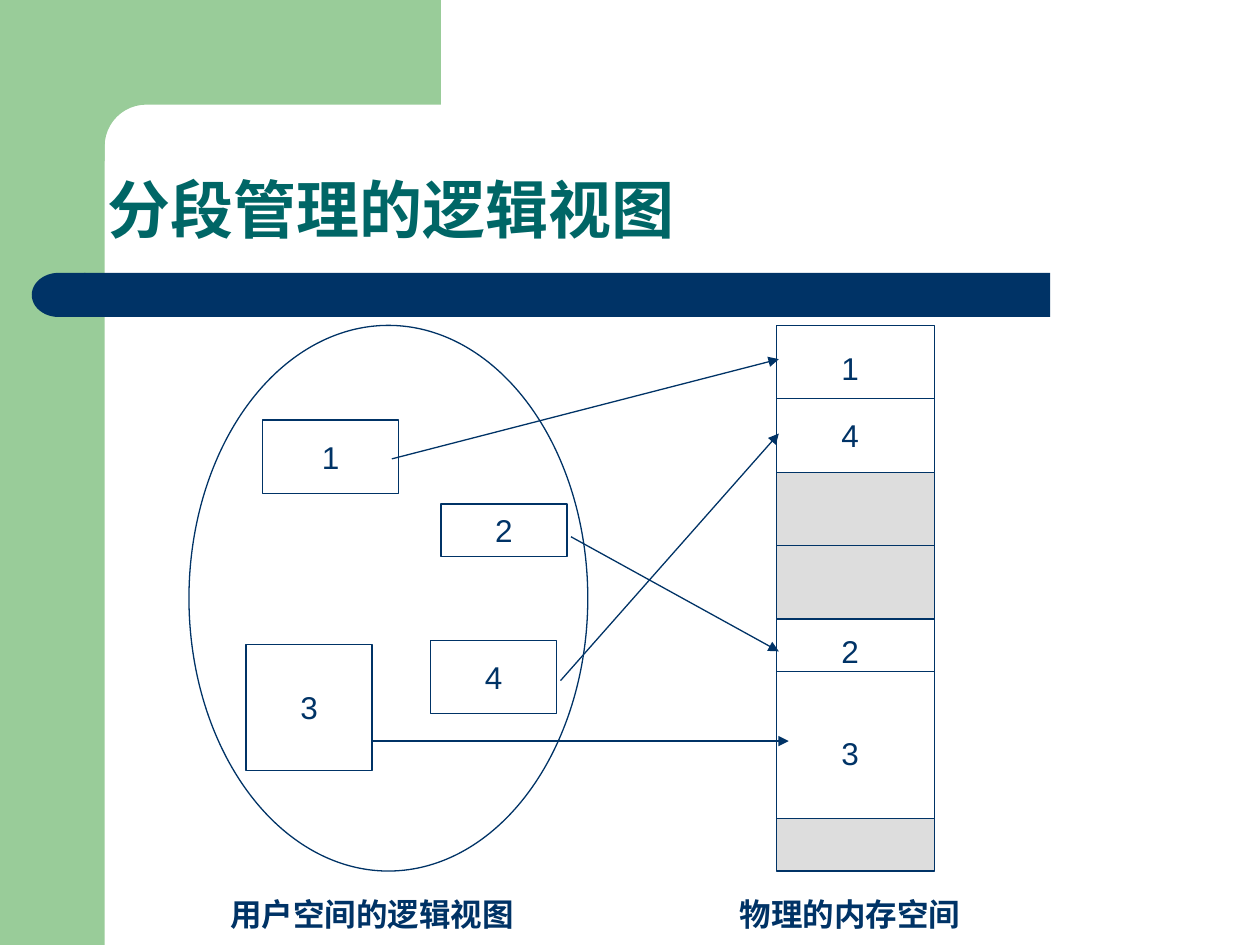
from dataclasses import dataclass
from math import cos, pi, sin

from lxml.etree import SubElement
from pptx import Presentation
from pptx.dml.color import RGBColor
from pptx.enum.shapes import MSO_CONNECTOR, MSO_SHAPE as SHAPE
from pptx.enum.text import MSO_ANCHOR as ANCHOR, MSO_AUTO_SIZE as AUTOSIZE, PP_ALIGN as ALIGN
from pptx.oxml.ns import qn
from pptx.util import Cm, Pt


@dataclass(frozen=True)
class Theme:
    font: str = "Arial"
    navy: RGBColor = RGBColor(0x00, 0x33, 0x66)
    teal: RGBColor = RGBColor(0x00, 0x66, 0x66)
    green: RGBColor = RGBColor(0x99, 0xCC, 0x99)
    gray: RGBColor = RGBColor(0xDD, 0xDD, 0xDD)
    white: RGBColor = RGBColor(0xFF, 0xFF, 0xFF)
    title_size: Pt = Pt(36)
    text_size: Pt = Pt(18)
    line_width: Pt = Pt(0.75)


THEME = Theme()
SIDEBAR_W = 2.11
MEMORY_X, MEMORY_Y, MEMORY_W = 15.66, 6.56, 3.18


def style_text(p, text, size, color, bold=False, align=ALIGN.CENTER):
    p.text = text
    p.alignment = align
    p.font.name = THEME.font
    p.font.size = size
    p.font.bold = bold
    p.font.color.rgb = color


def paint(sp, fill, outlined):
    sp.shadow.inherit = False
    sp.fill.solid()
    sp.fill.fore_color.rgb = fill
    if outlined:
        sp.line.color.rgb = THEME.navy
        sp.line.width = THEME.line_width
    else:
        sp.line.fill.background()


def add_block(s, kind, box, fill, outlined=True):
    sp = s.shapes.add_shape(kind, *map(Cm, box))
    paint(sp, fill, outlined)
    return sp


def add_segment(s, text, box):
    sp = add_block(s, SHAPE.RECTANGLE, box, THEME.white)
    tf = sp.text_frame
    tf.word_wrap = False
    tf.vertical_anchor = ANCHOR.MIDDLE
    style_text(tf.paragraphs[0], text, THEME.text_size, THEME.navy)


def add_label(s, text, box, bold=False):
    tf = s.shapes.add_textbox(*map(Cm, box)).text_frame
    tf.word_wrap = False
    tf.auto_size = AUTOSIZE.SHAPE_TO_FIT_TEXT
    tf.vertical_anchor = ANCHOR.MIDDLE
    style_text(tf.paragraphs[0], text, THEME.text_size, THEME.navy, bold)


def add_line(s, start, end, arrow=False):
    c = s.shapes.add_connector(MSO_CONNECTOR.STRAIGHT, *map(Cm, start + end))
    c.line.color.rgb = THEME.navy
    c.line.width = THEME.line_width
    if arrow:
        SubElement(c.line._get_or_add_ln(), qn("a:tailEnd"), type="triangle")
    SubElement(c._element.spPr, qn("a:effectLst"))


def add_corner(s):
    left, right, bottom, radius = 1.27, 8.89, 3.25, 0.84
    center = SIDEBAR_W + radius
    steps = 12
    angles = [pi / 2 * i / steps for i in range(steps + 1)]
    arc = [(center - radius * sin(a), center - radius * cos(a)) for a in angles]
    points = [(right, 0), (right, SIDEBAR_W), *arc, (SIDEBAR_W, bottom), (left, bottom)]
    builder = s.shapes.build_freeform(Cm(left), 0)
    builder.add_line_segments([(Cm(x), Cm(y)) for x, y in points])
    paint(builder.convert_to_shape(), THEME.green, outlined=False)


def add_frame(s):
    add_block(s, SHAPE.RECTANGLE, (0, 0, SIDEBAR_W, 19.05), THEME.green, outlined=False)
    add_corner(s)
    add_block(s, SHAPE.RECTANGLE, (1.7, 5.5, 19.47, 0.89), THEME.navy, outlined=False)
    cap = add_block(s, SHAPE.FLOWCHART_DELAY, (0.64, 5.5, 1.08, 0.89), THEME.navy, outlined=False)
    cap.rotation = 180


def set_title(s, text):
    title = s.shapes.title
    title.left, title.top, title.width, title.height = map(Cm, (1.91, 1.93, 21.59, 3.18))
    tf = title.text_frame
    tf.auto_size = AUTOSIZE.NONE
    tf.vertical_anchor = ANCHOR.BOTTOM
    p = tf.paragraphs[0]
    style_text(p, text, THEME.title_size, THEME.teal, bold=True, align=ALIGN.LEFT)
    p.line_spacing = 0.9


def add_user_space(s):
    add_block(s, SHAPE.OVAL, (3.81, MEMORY_Y, 8.04, 11), THEME.white)
    segments = {
        "1": (5.29, 8.47, 2.75, 1.48),
        "3": (4.96, 12.99, 2.54, 2.54),
        "2": (8.89, 10.16, 2.54, 1.06),
        "4": (8.68, 12.91, 2.54, 1.48),
    }
    for text, box in segments.items():
        add_segment(s, text, box)


def add_memory(s):
    blocks = [
        (THEME.white, (1.48, 1.48)),
        (THEME.gray, (1.48, 1.48)),
        (THEME.white, (1.06, 2.96)),
        (THEME.gray, (1.06,)),
    ]
    y = MEMORY_Y
    for fill, parts in blocks:
        add_block(s, SHAPE.RECTANGLE, (MEMORY_X, y, MEMORY_W, sum(parts)), fill)
        if len(parts) > 1:
            divider = y + parts[0]
            add_line(s, (MEMORY_X, divider), (MEMORY_X + MEMORY_W, divider))
        y += sum(parts)
    for text, top in (("1", 6.91), ("4", 8.26), ("2", 12.62), ("3", 14.66)):
        add_label(s, text, (16.71, top, 0.86, 1.02))


def add_mappings(s):
    edge = 15.7
    mappings = [
        ((7.9, 9.25), (edge, 7.24)),
        ((11.51, 10.82), (edge, 13.13)),
        ((11.3, 13.72), (edge, 8.74)),
        ((7.49, 14.94), (15.9, 14.94)),
    ]
    for start, end in mappings:
        add_line(s, start, end, arrow=True)


def main():
    prs = Presentation()
    prs.slide_width, prs.slide_height = Cm(25.4), Cm(19.05)
    s = prs.slides.add_slide(prs.slide_layouts[5])
    add_frame(s)
    set_title(s, "分段管理的逻辑视图")
    add_user_space(s)
    add_memory(s)
    add_label(s, "用户空间的逻辑视图", (4.39, 17.91, 6.22, 1.02), bold=True)
    add_label(s, "物理的内存空间", (14.66, 17.91, 4.95, 1.02), bold=True)
    add_mappings(s)
    prs.save("out.pptx")


if __name__ == "__main__":
    main()
